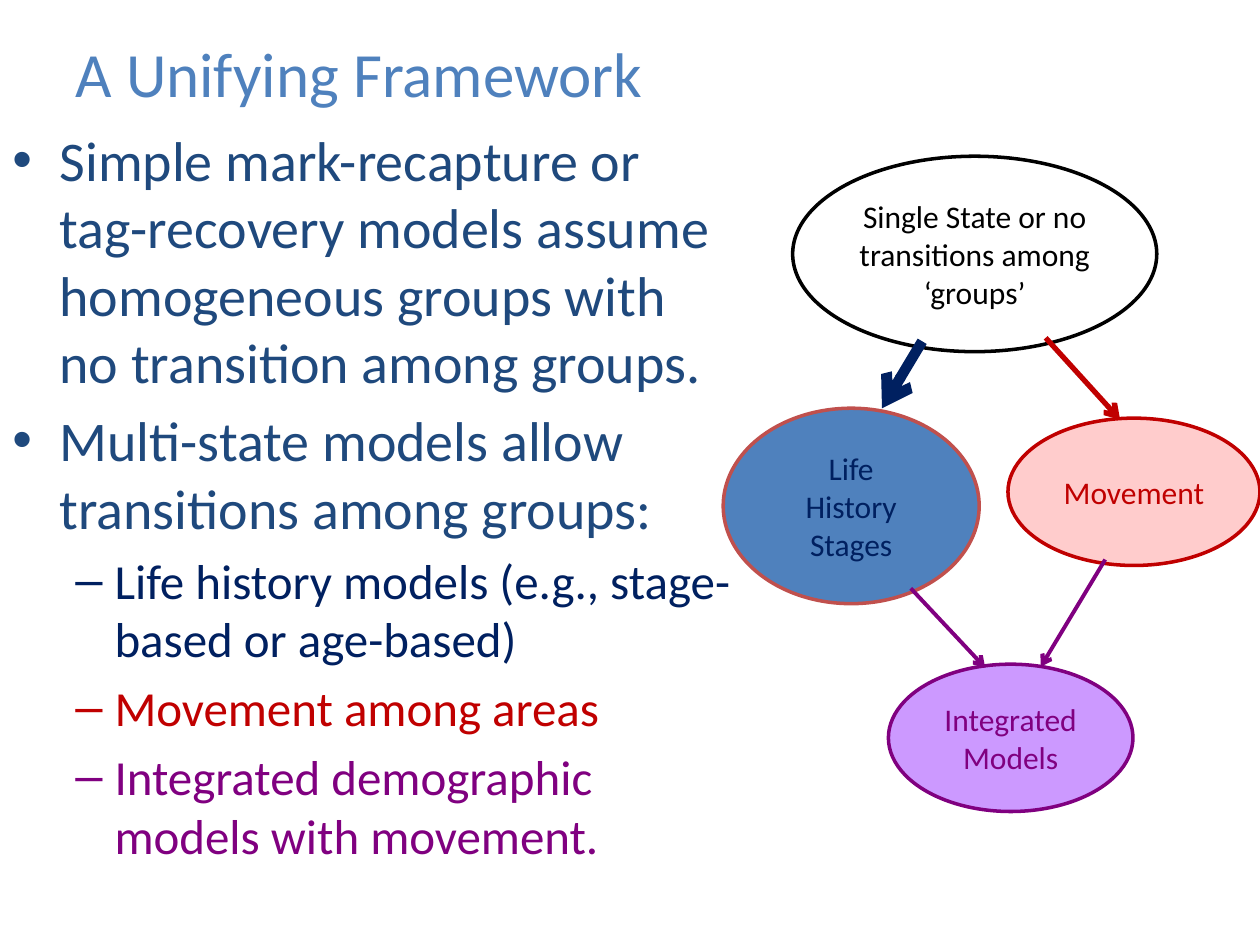
import dataclasses

import pptx
import pptx.dml.color
import pptx.enum.shapes
import pptx.enum.text
import pptx.oxml.ns
import pptx.util
from lxml import etree
from pptx.util import Cm, Pt


@dataclasses.dataclass(frozen=True)
class Theme:
    font: str = "Calibri"
    title_size: int = 36
    bullet_size: int = 32
    dash_size: int = 28
    label_size: int = 18
    title: str = "4F81BD"
    body: str = "1F497D"
    black: str = "000000"
    navy: str = "002060"
    red: str = "C00000"
    purple: str = "800080"
    blue_fill: str = "4F81BD"
    blue_outline: str = "C0504D"
    pink_fill: str = "FFCCCC"
    lilac_fill: str = "CC99FF"


theme = Theme()
rgb = pptx.dml.color.RGBColor.from_string
qn = pptx.oxml.ns.qn


def format_runs(paragraph, size, color):
    for run in paragraph.runs:
        run.font.name = theme.font
        run.font.size = Pt(size)
        run.font.color.rgb = rgb(color)


def add_bullet(paragraph, character, left, hanging):
    properties = paragraph._p.get_or_add_pPr()
    properties.set("marL", str(left))
    properties.set("indent", str(-hanging))
    etree.SubElement(properties, qn("a:buFont"), typeface="Arial")
    etree.SubElement(properties, qn("a:buChar"), char=character)


presentation = pptx.Presentation()
presentation.slide_width = Cm(25.4)
presentation.slide_height = Cm(19.05)
slide = presentation.slides.add_slide(presentation.slide_layouts[6])

# Title
title = slide.shapes.add_textbox(Cm(1.27), Cm(0.51), Cm(22.86), Cm(1.9))
title.text_frame.word_wrap = True
title.text_frame.vertical_anchor = pptx.enum.text.MSO_ANCHOR.MIDDLE
title.text_frame.text = "A Unifying Framework"
format_runs(title.text_frame.paragraphs[0], theme.title_size, theme.title)

# Bullets: level, text, colour
bullets = [
    (0, "Simple mark-recapture or tag-recovery models assume homogeneous groups "
        "with no transition among groups.", theme.body),
    (0, "Multi-state models allow transitions among groups:", theme.body),
    (1, "Life history models (e.g., stage-based or age-based)", theme.navy),
    (1, "Movement among areas", theme.red),
    (1, "Integrated demographic models with movement.", theme.purple),
]
levels = [
    ("•", Cm(0.95), Cm(0.95), theme.bullet_size),
    ("–", Cm(2.06), Cm(0.79), theme.dash_size),
]
body = slide.shapes.add_textbox(Cm(0), Cm(2.41), Cm(15.09), Cm(16.64))
body.text_frame.word_wrap = True
body.text_frame.text = "\n".join(text for level, text, color in bullets)
for index, (level, text, color) in enumerate(bullets):
    paragraph = body.text_frame.paragraphs[index]
    character, left, hanging, size = levels[level]
    paragraph.level = level
    if index > 0:
        paragraph.space_before = Pt(0.2 * size)
    add_bullet(paragraph, character, left, hanging)
    format_runs(paragraph, size, color)

# Model ellipses: text, left, top, width, height, fill, outline, text colour
models = [
    ("Single State or no transitions among ‘groups’",
     15.98, 3.15, 7.34, 3.94, None, theme.black, theme.black),
    ("Life\nHistory\nStages",
     14.58, 8.23, 5.16, 3.94, theme.blue_fill, theme.blue_outline, theme.navy),
    ("Movement",
     20.32, 8.43, 5.08, 2.97, theme.pink_fill, theme.red, theme.red),
    ("Integrated\nModels",
     17.91, 13.39, 4.93, 2.97, theme.lilac_fill, theme.purple, theme.purple),
]
for text, left, top, width, height, fill, outline, color in models:
    ellipse = slide.shapes.add_shape(
        pptx.enum.shapes.MSO_SHAPE.OVAL, Cm(left), Cm(top), Cm(width), Cm(height))
    ellipse.shadow.inherit = False
    if fill:
        ellipse.fill.solid()
        ellipse.fill.fore_color.rgb = rgb(fill)
    else:
        ellipse.fill.background()
    ellipse.line.color.rgb = rgb(outline)
    ellipse.line.width = Pt(2)
    ellipse.text_frame.word_wrap = True
    ellipse.text_frame.vertical_anchor = pptx.enum.text.MSO_ANCHOR.MIDDLE
    ellipse.text_frame.text = text
    for paragraph in ellipse.text_frame.paragraphs:
        paragraph.alignment = pptx.enum.text.PP_ALIGN.CENTER
        format_runs(paragraph, theme.label_size, color)

# Arrows: start x, start y, end x, end y, colour, width
arrows = [
    (18.59, 6.88, 17.78, 8.23, theme.navy, 6),
    (21.08, 6.81, 22.58, 8.46, theme.red, 3),
    (18.36, 11.86, 19.86, 13.46, theme.purple, 2.25),
    (22.28, 11.28, 20.98, 13.44, theme.purple, 2.25),
]
for start_x, start_y, end_x, end_y, color, width in arrows:
    arrow = slide.shapes.add_connector(
        pptx.enum.shapes.MSO_CONNECTOR.STRAIGHT,
        Cm(start_x), Cm(start_y), Cm(end_x), Cm(end_y))
    arrow.line.color.rgb = rgb(color)
    arrow.line.width = Pt(width)
    etree.SubElement(arrow.line._get_or_add_ln(), qn("a:tailEnd"), type="arrow")
    etree.SubElement(arrow._element.spPr, qn("a:effectLst"))

presentation.save("out.pptx")
